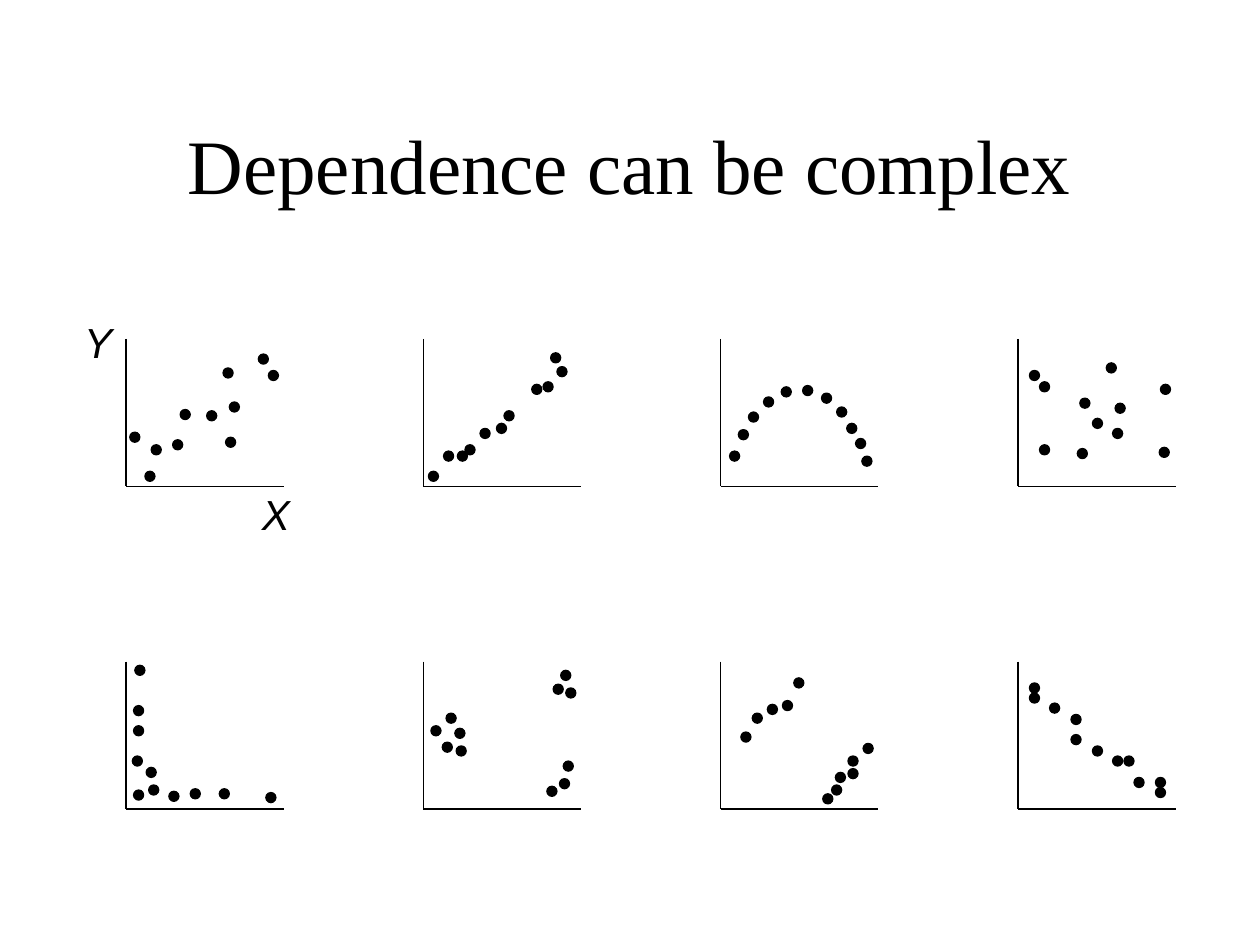
from dataclasses import dataclass

from lxml.etree import SubElement
from pptx import Presentation
from pptx.dml.color import RGBColor
from pptx.enum.shapes import MSO_CONNECTOR as CONN, MSO_SHAPE as SHAPE
from pptx.enum.text import MSO_ANCHOR as ANCHOR, MSO_AUTO_SIZE as FIT, PP_ALIGN as ALIGN
from pptx.oxml.ns import qn
from pptx.util import Inches, Pt


@dataclass(frozen=True)
class Theme:
    ink: RGBColor = RGBColor(0, 0, 0)
    paper: RGBColor = RGBColor(255, 255, 255)
    title_font: str = "Times New Roman"
    label_font: str = "Arial"
    title_size: int = 44
    label_size: int = 24
    line_width: float = 0.75


THEME = Theme()
LEFT, TOP = 1, 2.69
COL_STEP, ROW_STEP = 2.36, 2.56
PLOT_W, PLOT_H = 1.25, 1.17
DOT = 0.08

# Each dot is (left, top) in inches from the top left corner of its plot.
PATTERNS = [
    [  # loose rise, tight rise, arch, no pattern
        [(0.03, 0.74), (0.15, 1.05), (0.2, 0.84), (0.37, 0.8), (0.43, 0.56), (0.64, 0.57),
         (0.77, 0.23), (0.79, 0.78), (0.82, 0.5), (1.05, 0.12), (1.13, 0.25)],
        [(0.04, 1.05), (0.16, 0.89), (0.27, 0.89), (0.33, 0.84), (0.45, 0.71), (0.58, 0.67),
         (0.64, 0.57), (0.86, 0.36), (0.95, 0.34), (1.01, 0.11), (1.06, 0.22)],
        [(0.07, 0.89), (0.14, 0.72), (0.22, 0.58), (0.34, 0.46), (0.48, 0.38), (0.65, 0.37),
         (0.8, 0.43), (0.92, 0.54), (1, 0.67), (1.07, 0.79), (1.12, 0.93)],
        [(0.09, 0.25), (0.17, 0.34), (0.17, 0.84), (0.47, 0.87), (0.49, 0.47), (0.59, 0.63),
         (0.7, 0.19), (0.75, 0.71), (0.77, 0.51), (1.12, 0.86), (1.13, 0.36)],
    ],
    [  # hyperbola, three clusters, two rising groups, fall
        [(0.05, 0.75), (0.06, 0.35), (0.06, 0.51), (0.06, 1.02), (0.07, 0.03), (0.16, 0.84),
         (0.18, 0.98), (0.34, 1.03), (0.51, 1.01), (0.74, 1.01), (1.11, 1.04)],
        [(0.06, 0.51), (0.15, 0.64), (0.18, 0.41), (0.25, 0.53), (0.26, 0.67), (0.98, 0.99),
         (1.03, 0.18), (1.08, 0.93), (1.09, 0.07), (1.11, 0.79), (1.13, 0.21)],
        [(0.16, 0.56), (0.25, 0.41), (0.37, 0.34), (0.49, 0.31), (0.58, 0.13), (0.81, 1.05),
         (0.88, 0.98), (0.91, 0.88), (1.01, 0.75), (1.01, 0.85), (1.13, 0.65)],
        [(0.09, 0.17), (0.09, 0.25), (0.25, 0.33), (0.42, 0.42), (0.42, 0.58), (0.59, 0.67),
         (0.75, 0.75), (0.84, 0.75), (0.92, 0.92), (1.09, 0.92), (1.09, 1)],
    ],
]


def add_text(s, box, text, font, frame, align=ALIGN.LEFT):
    tf = s.shapes.add_textbox(*map(Inches, box)).text_frame
    for name, value in frame.items():
        setattr(tf, name, value)
    p = tf.paragraphs[0]
    p.alignment = align
    r = p.add_run()
    r.text = text
    r.font.color.rgb = THEME.ink
    for name, value in font.items():
        setattr(r.font, name, value)


def add_title(s, box):
    font = {"name": THEME.title_font, "size": Pt(THEME.title_size)}
    frame = {"word_wrap": True, "vertical_anchor": ANCHOR.MIDDLE}
    add_text(s, box, " Dependence can be complex", font, frame, ALIGN.CENTER)


def add_axis_label(s, box, text):
    font = {"name": THEME.label_font, "size": Pt(THEME.label_size), "italic": True}
    add_text(s, box, text, font, {"word_wrap": False, "auto_size": FIT.SHAPE_TO_FIT_TEXT})


def set_line(line):
    line.color.rgb = THEME.ink
    line.width = Pt(THEME.line_width)


def add_scatter(s, box, dots):
    """Draw a small plot sketch, its two axes and its dots, as one group."""
    x, y, w, h = box
    shapes = s.shapes.add_group_shape().shapes
    corner = (x, y + h)
    for start, end in [((x, y), corner), (corner, (x + w, y + h))]:
        axis = shapes.add_connector(CONN.STRAIGHT, *map(Inches, start + end))
        set_line(axis.line)
        SubElement(axis.line._get_or_add_ln().getparent(), qn("a:effectLst"))
    for dx, dy in dots:
        sp = shapes.add_shape(SHAPE.OVAL, *map(Inches, (x + dx, y + dy, DOT, DOT)))
        sp.shadow.inherit = False
        sp.fill.solid()
        sp.fill.fore_color.rgb = THEME.ink
        set_line(sp.line)


def add_scatter_grid(s, left, top):
    for row, patterns in enumerate(PATTERNS):
        for col, dots in enumerate(patterns):
            box = (left + col * COL_STEP, top + row * ROW_STEP, PLOT_W, PLOT_H)
            add_scatter(s, box, dots)


def main():
    prs = Presentation()
    prs.slide_width, prs.slide_height = Inches(10), Inches(7.5)
    s = prs.slides.add_slide(prs.slide_layouts[6])
    s.background.fill.solid()
    s.background.fill.fore_color.rgb = THEME.paper
    add_title(s, (0.67, 0.67, 8.5, 1.25))
    add_scatter_grid(s, LEFT, TOP)
    add_axis_label(s, (1.98, 3.83, 0.42, 0.5), "X")
    add_axis_label(s, (0.57, 2.46, 0.42, 0.5), "Y")
    prs.save("out.pptx")


if __name__ == "__main__":
    main()
